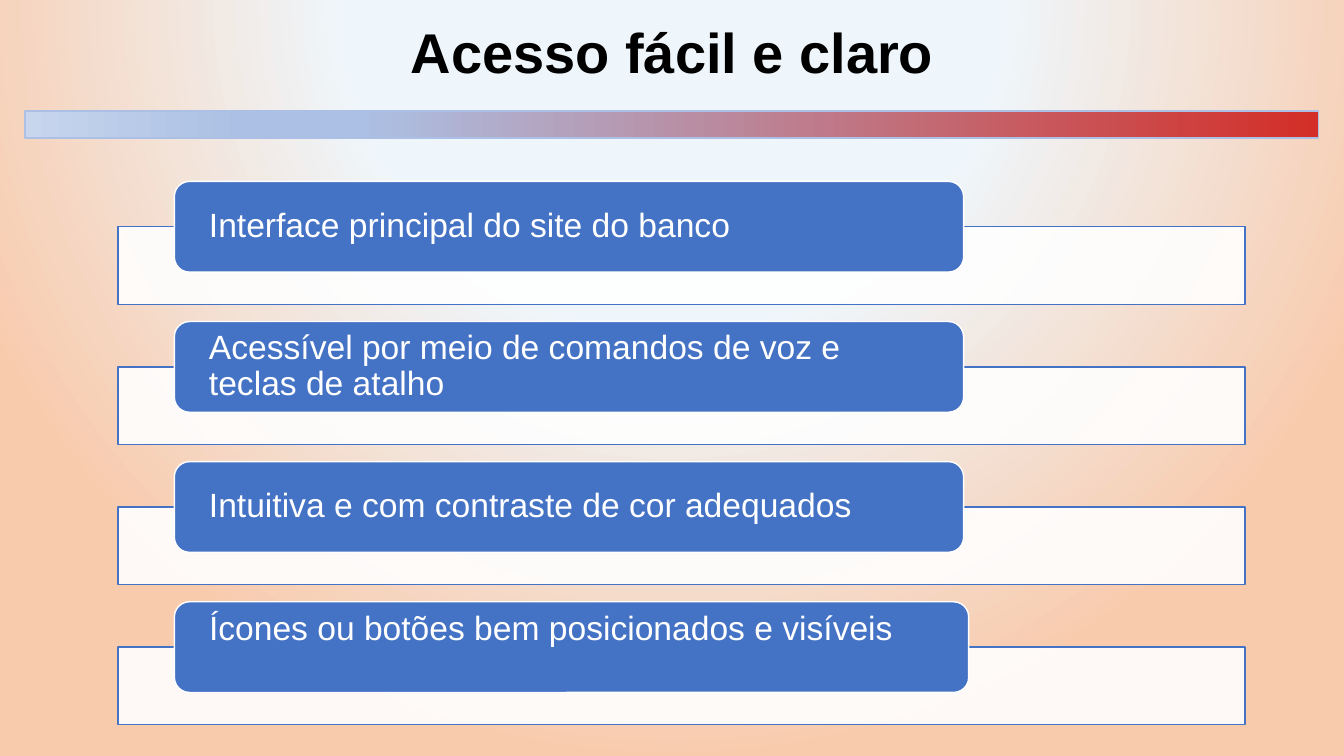
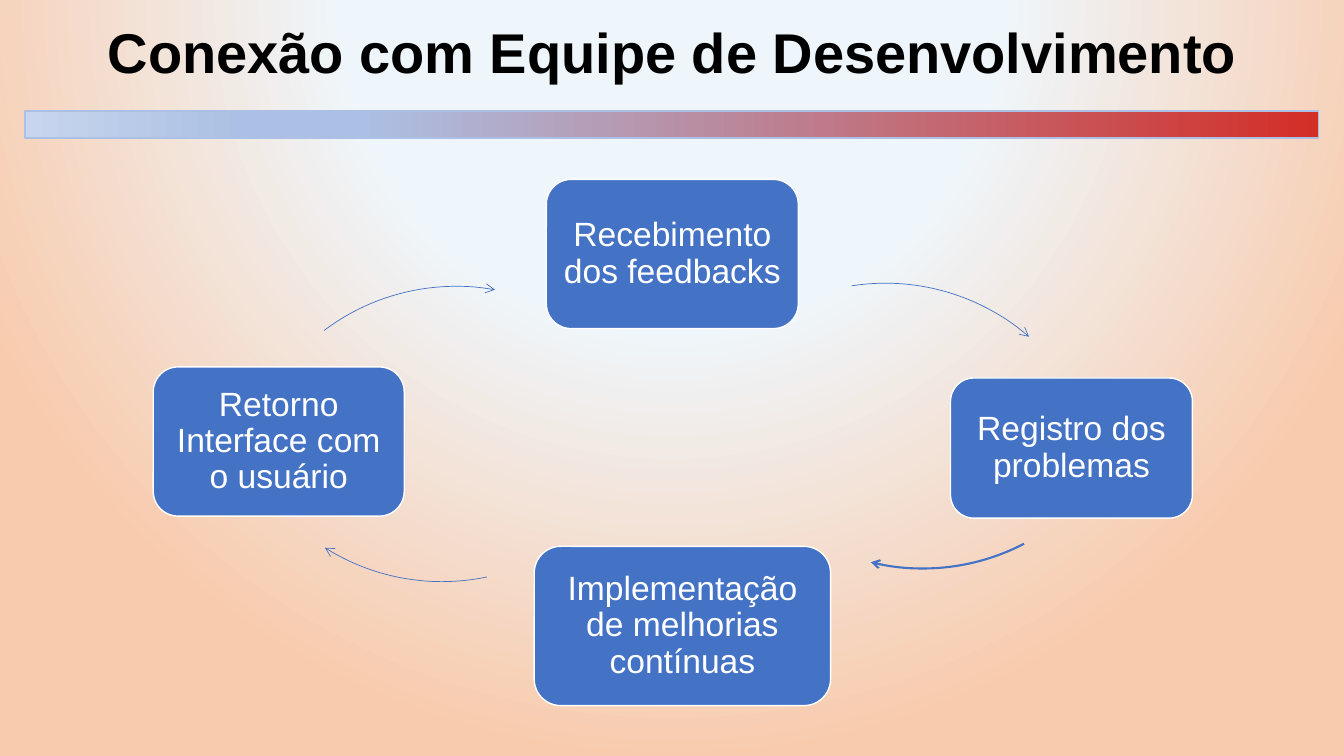
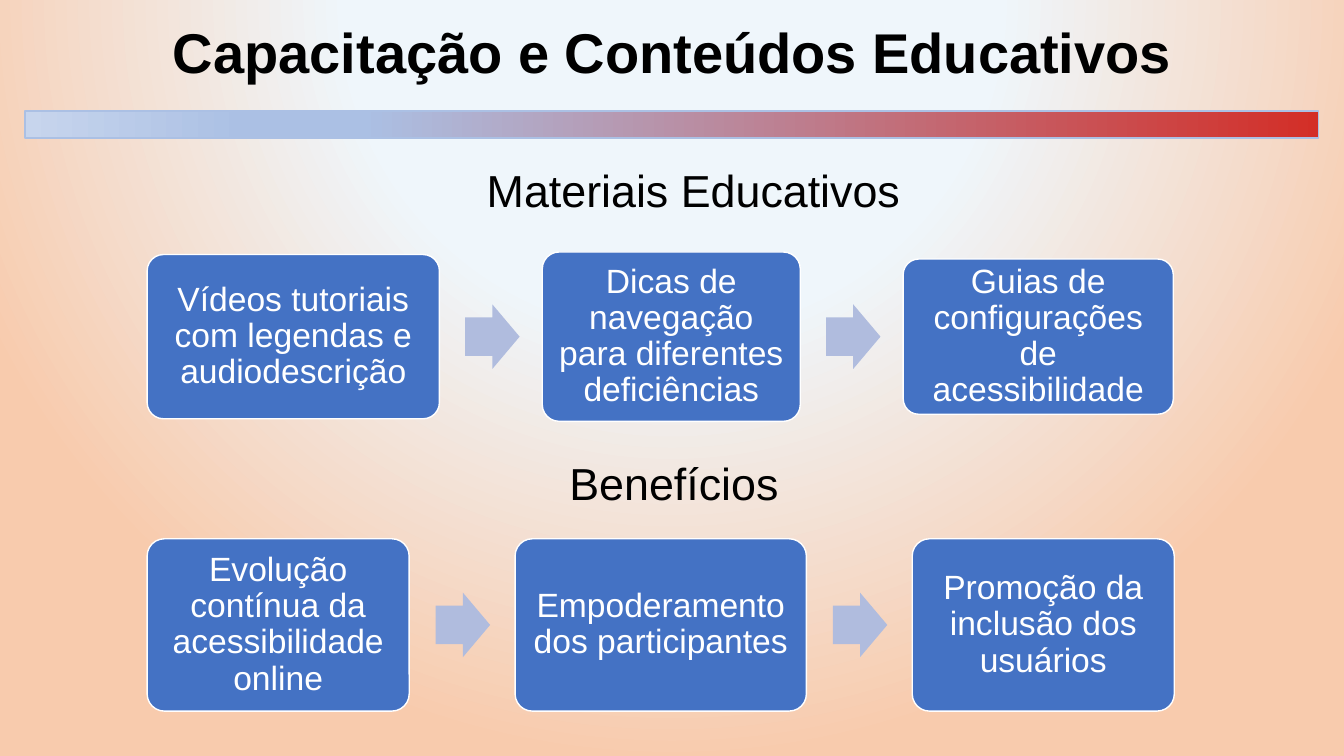
from dataclasses import dataclass

from lxml import etree
from pptx import Presentation
from pptx.dml.color import RGBColor as Rgb
from pptx.enum.shapes import MSO_SHAPE as Kind
from pptx.enum.text import MSO_ANCHOR as Anchor, PP_ALIGN as Align
from pptx.oxml.ns import qn
from pptx.util import Inches, Pt

CELL = 0.1  # grid cell in inches
COLS, ROWS = 133.33, 75
FONT = "Arial"
HUES = {
    "ink": "000000", "white": "FFFFFF", "blue": "4472C4", "arrow": "B0BCDE",
    "sky": "EFF6FB", "peach": "F8CBAD",
    "red": "D32E27", "mist": "ABC0E4", "haze": "C7D5ED",
}
SKY = [(42, "sky"), (99, "peach")]
BAND = [(0, "red"), (74, "mist"), (83, "mist"), (100, "haze")]


@dataclass
class Box:
    """Place and size in grid columns and rows."""
    col: float
    row: float
    cols: float
    rows: float

    def emu(self) -> list[int]:
        return [Inches(n * CELL) for n in (self.col, self.row, self.cols, self.rows)]


@dataclass
class Topic:
    text: str
    cols: float = 78.3
    low: float = 0  # bottom inset, in rows


@dataclass
class Node:
    text: str
    box: Box


@dataclass
class Arc:
    """Part of a circle, clockwise from start to end in degrees."""
    col: float
    row: float
    start: float
    end: float
    width: float = 0.5


@dataclass
class Step:
    text: str
    cols: float
    rows: float


TOPICS = [
    Topic("Interface principal do site do banco"),
    Topic("Acessível por meio de comandos de voz e teclas de atalho"),
    Topic("Intuitiva e com contraste de cor adequados"),
    Topic("Ícones ou botões bem posicionados e visíveis", 78.8, 3.4),
]
NODES = [
    Node("Recebimento dos feedbacks", Box(54.2, 17.8, 25, 14.8)),
    Node("Registro dos problemas", Box(94.3, 37.5, 24, 13.9)),
    Node("Implementação de melhorias contínuas", Box(53, 54.2, 29.4, 15.8)),
    Node("Retorno Interface com o usuário", Box(15.2, 36.4, 24.9, 14.8)),
]
ARCS = [
    Arc(66.1, 28.1, 261.1, 310.9),
    Arc(69.8, 12.9, 62.5, 103.7, 1.5),
    Arc(22.1, 14.2, 78.2, 122.3),
    Arc(23.5, 28.4, 233, 280.2),
]
GUIDES = [
    Step("Vídeos tutoriais com legendas e audiodescrição", 29, 16.3),
    Step("Dicas de navegação para diferentes deficiências", 25.6, 16.8),
    Step("Guias de configurações de acessibilidade", 26.8, 15.4),
]
GAINS = [
    Step("Evolução contínua da acessibilidade online", 26, 17.1),
    Step("Empoderamento dos participantes", 28.9, 17.1),
    Step("Promoção da inclusão dos usuários", 26, 17.1),
]


def hue(name: str) -> Rgb:
    return Rgb.from_string(HUES[name])


def sub(node, tag: str, **attrs):
    return etree.SubElement(node, qn(tag), {k: str(v) for k, v in attrs.items()})


def blend(fill, root, stops: list, angle: int | None = None) -> None:
    """Gradient fill: linear at an angle, or round from above the slide."""
    fill.gradient()
    grad = next(root.iter(qn("a:gradFill")))
    for part in list(grad):
        grad.remove(part)
    row = sub(grad, "a:gsLst")
    for pos, name in stops:
        sub(sub(row, "a:gs", pos=pos * 1000), "a:srgbClr", val=HUES[name])
    if angle is None:
        ring = sub(grad, "a:path", path="circle")
        sub(ring, "a:fillToRect", l=50000, t=-80000, r=50000, b=180000)
    else:
        sub(grad, "a:lin", ang=angle * 60000, scaled=0)


def draw(slide, kind: Kind, box: Box, fill: str | None = None,
         line: str | None = None, width: float = 1):
    shape = slide.shapes.add_shape(kind, *box.emu())
    shape.shadow.inherit = False
    if fill:
        shape.fill.solid()
        shape.fill.fore_color.rgb = hue(fill)
    else:
        shape.fill.background()
    if line:
        shape.line.color.rgb = hue(line)
        shape.line.width = Pt(width)
    else:
        shape.line.fill.background()
    return shape


def write(shape, text: str, size: float = 24, color: str = "white", bold: bool = False,
          align: Align = Align.CENTER, anchor: Anchor = Anchor.MIDDLE,
          pad: tuple = (1, 1, 1, 1), lead: float = 0.9) -> None:
    """Pad is left, top, right, bottom in grid cells."""
    frame = shape.text_frame
    frame.word_wrap = True
    frame.vertical_anchor = anchor
    (frame.margin_left, frame.margin_top,
     frame.margin_right, frame.margin_bottom) = [Inches(n * CELL) for n in pad]
    para = frame.paragraphs[0]
    para.alignment = align
    para.line_spacing = lead
    run = para.add_run()
    run.text = text
    font = run.font
    font.name, font.size, font.bold = FONT, Pt(size), bold
    font.color.rgb = hue(color)


def label(slide, text: str, box: Box, **form) -> None:
    write(slide.shapes.add_textbox(*box.emu()), text, color="ink",
          anchor=Anchor.TOP, pad=(1, 0.5, 1, 0.5), lead=1, **form)


def card(slide, text: str, box: Box, **form):
    shape = draw(slide, Kind.ROUNDED_RECTANGLE, box, "blue", "white")
    write(shape, text, **form)
    return shape


def start(deck, title: str):
    """Add a slide with its title and band."""
    slide = deck.slides.add_slide(deck.slide_layouts[6])
    band = draw(slide, Kind.RECTANGLE, Box(2.5, 11, 128.3, 2.7), line="mist")
    blend(band.fill, band.element, BAND, 180)
    label(slide, title, Box(0, 1.2, COLS, 7.7), size=40, bold=True)
    return slide


def topics(slide) -> None:
    for i, topic in enumerate(TOPICS):
        top = 18 + 13.9 * i
        rail = draw(slide, Kind.RECTANGLE, Box(11.7, top + 4.5, 111.8, 7.7),
                    "white", "blue")
        tint = next(rail.element.spPr.iter(qn("a:srgbClr")))
        sub(tint, "a:alpha", val=90000)
        card(slide, topic.text, Box(17.3, top, topic.cols, 9),
             align=Align.LEFT, pad=(3, 0, 3, topic.low))


def cycle(slide) -> None:
    for node in NODES:
        card(slide, node.text, node.box)
    for arc in ARCS:
        curve = draw(slide, Kind.ARC, Box(arc.col, arc.row, 43.5, 43.5),
                     line="blue", width=arc.width)
        for i, angle in enumerate((arc.start, arc.end)):
            curve.adjustments[i] = angle * 0.6
        sub(curve.element.spPr.find(qn("a:ln")), "a:tailEnd", type="arrow")


def chain(slide, steps: list[Step], mid: float, gap: float) -> None:
    """Cards in a row centred on mid, with an arrow in each gap."""
    left = 14.6
    for i, step in enumerate(steps):
        if i:
            arrow = draw(slide, Kind.RIGHT_ARROW,
                         Box(left - gap * 0.75, mid - 3.2, 5.4, 6.4), "arrow")
            arrow.adjustments[0] = 0.6
        box = Box(left, mid - step.rows / 2, step.cols, step.rows)
        card(slide, step.text, box).adjustments[0] = 0.1
        left += step.cols + gap


def main() -> None:
    deck = Presentation()
    deck.slide_width = Inches(COLS * CELL)
    deck.slide_height = Inches(ROWS * CELL)
    master = deck.slide_master
    blend(master.background.fill, master.element, SKY)

    topics(start(deck, "Acesso fácil e claro"))
    cycle(start(deck, "Conexão com Equipe de Desenvolvimento"))
    last = start(deck, "Capacitação e Conteúdos Educativos")
    chain(last, GUIDES, 33.4, 10.2)
    chain(last, GAINS, 62, 10.5)
    label(last, "Materiais Educativos", Box(47.3, 15.7, 44.2, 6.4),
          size=32, align=Align.LEFT)
    label(last, "Benefícios", Box(55.5, 44.7, 24.5, 6.4), size=32, align=Align.LEFT)
    deck.save("out.pptx")


if __name__ == "__main__":
    main()
